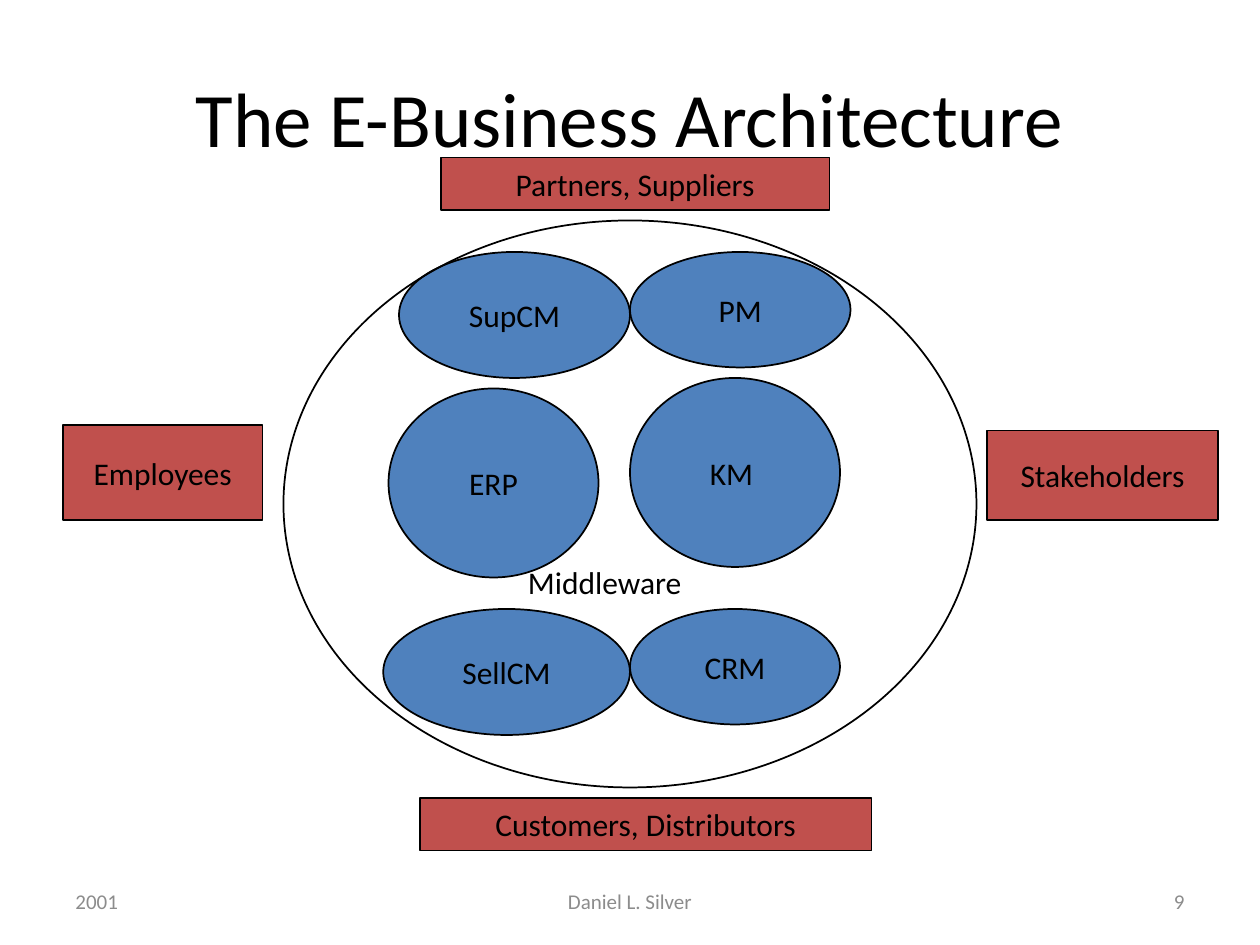
import pptx
import pptx.util
import pptx.dml.color
import pptx.enum.shapes
import pptx.enum.text

PX = 7620  # 120 px to the inch
SHAPE = pptx.enum.shapes.MSO_SHAPE
ALIGN = pptx.enum.text.PP_ALIGN
ANCHOR = pptx.enum.text.MSO_ANCHOR

BLACK, GREY, BLUE, RED = "000000", "8C8C8C", "4F81BD", "C0504D"


def emu(*lengths):
    return [pptx.util.Emu(n * PX) for n in lengths]


def rgb(hex_color):
    return pptx.dml.color.RGBColor.from_string(hex_color)


def write(sp, text, size, color=BLACK, align=ALIGN.CENTER, anchor=ANCHOR.MIDDLE, wrap=False):
    tf = sp.text_frame
    tf.text = text
    tf.word_wrap = wrap
    tf.vertical_anchor = anchor
    p = tf.paragraphs[0]
    p.alignment = align
    font = p.runs[0].font
    font.name = "Calibri"
    font.size = pptx.util.Pt(size)
    font.color.rgb = rgb(color)


def add_text(s, box, text, size, **style):
    write(s.shapes.add_textbox(*emu(*box)), text, size, **style)


def add_node(s, kind, box, fill=None, text=None):
    """Black-outlined shape; hollow without a fill."""
    sp = s.shapes.add_shape(kind, *emu(*box))
    sp.shadow.inherit = False
    sp.line.color.rgb = rgb(BLACK)
    sp.line.width = pptx.util.Pt(1)
    if fill:
        sp.fill.solid()
        sp.fill.fore_color.rgb = rgb(fill)
    else:
        sp.fill.background()
    if text:
        write(sp, text, 18)


def add_footer(s, box):
    x, y, w, h = box
    parts = [
        ("2001", 0, 280, ALIGN.LEFT),
        ("Daniel L. Silver", (w - 380) // 2, 380, ALIGN.CENTER),
        ("9", w - 280, 280, ALIGN.RIGHT),
    ]
    for text, dx, width, align in parts:
        add_text(s, (x + dx, y, width, h), text, 12, color=GREY, align=align, wrap=True)


def add_core(s, box):
    """Ring of business modules around the middleware."""
    x, y, w, h = box
    mid = w // 2
    modules = [
        ("SupCM", mid - 220, 30, 220, 120),
        ("SellCM", mid - 235, 370, 235, 120),
        ("CRM", mid, 370, 200, 110),
        ("ERP", mid - 230, 160, 200, 180),
        ("PM", mid, 30, 210, 110),
        ("KM ", mid, 150, 200, 180),
    ]
    for text, dx, dy, width, height in modules:
        add_node(s, SHAPE.OVAL, (x + dx, y + dy, width, height), BLUE, text)
    add_node(s, SHAPE.OVAL, box)
    add_text(s, (x + 221, y + 320, 217, 60), "Middleware", 18,
             align=ALIGN.LEFT, anchor=ANCHOR.TOP)


def add_parties(s, box):
    """Outside parties on the four sides of the ring."""
    x, y, w, h = box
    parties = [
        ("Partners, Suppliers", 150, -60, 370, 50),
        ("Customers, Distributors", 130, h + 10, 430, 50),
        ("Employees", -210, 195, 190, 90),
        ("Stakeholders", w + 10, 200, 220, 85),
    ]
    for text, dx, dy, width, height in parties:
        add_node(s, SHAPE.RECTANGLE, (x + dx, y + dy, width, height), RED, text)


def main():
    prs = pptx.Presentation()
    prs.slide_width, prs.slide_height = emu(1200, 900)
    s = prs.slides.add_slide(prs.slide_layouts[6])
    ring = (270, 210, 660, 540)
    add_footer(s, (60, 834, 1080, 48))
    add_text(s, (60, 36, 1080, 150), "The E-Business Architecture", 44, wrap=True)
    add_core(s, ring)
    add_parties(s, ring)
    prs.save("out.pptx")


if __name__ == "__main__":
    main()
